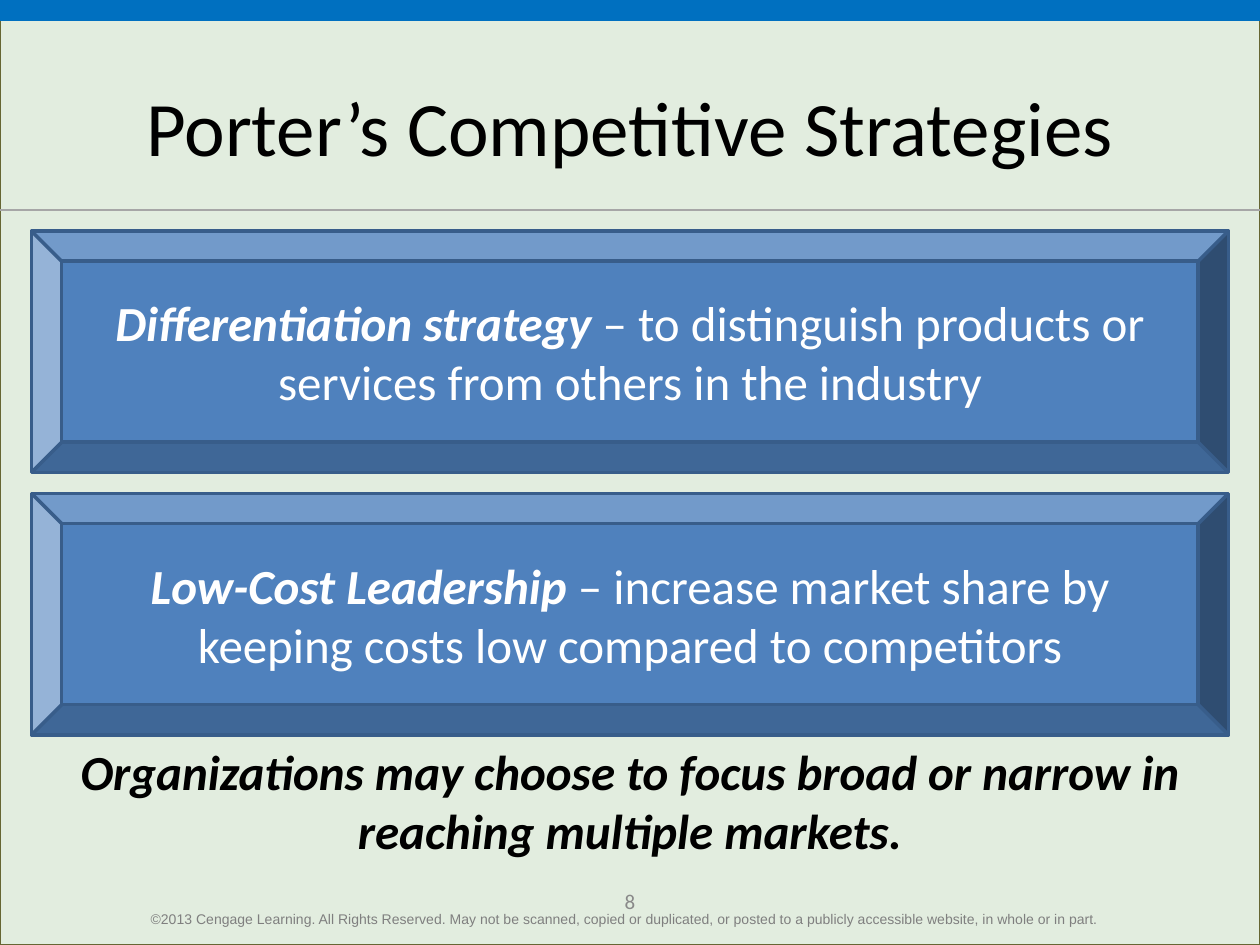
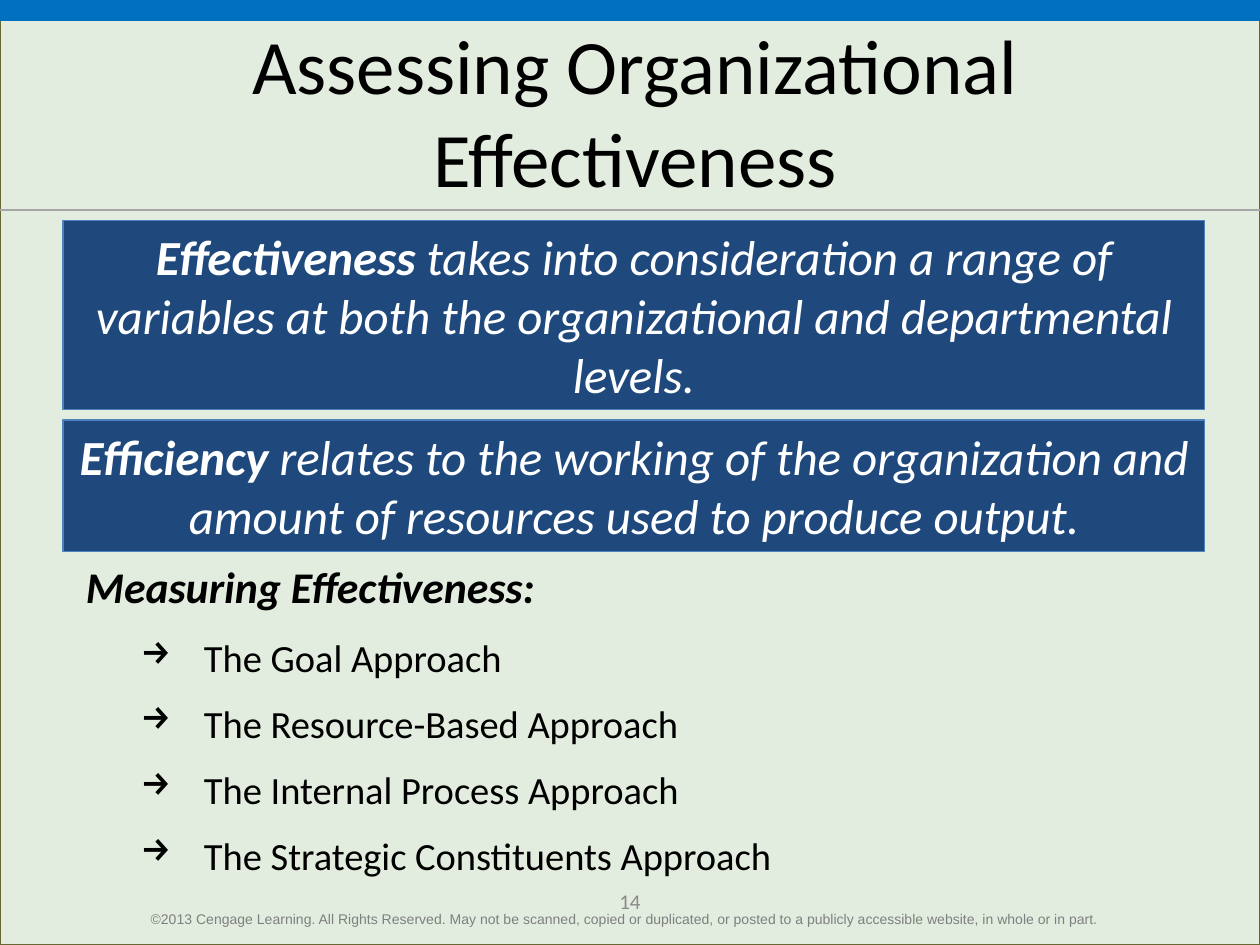
from lxml.etree import SubElement
from pptx import Presentation
from pptx.dml.color import RGBColor
from pptx.enum.shapes import MSO_CONNECTOR, MSO_SHAPE
from pptx.enum.text import MSO_ANCHOR, PP_ALIGN
from pptx.oxml.ns import qn
from pptx.util import Pt

HUES = {
    "page": "E2EDDF", "edge": "666633", "band": "0070C0", "rule": "A6A6A6",
    "ink": "000000", "white": "FFFFFF", "number": "898989", "legal": "7F7F7F",
    "bevel": "4F81BD", "rim": "385D8A", "panel": "1F497D",
}
PAGE = (0, 0, 720, 540)
LEGAL = ("©2013 Cengage Learning. All Rights Reserved. May not be scanned, copied or "
         "duplicated, or posted to a publicly accessible website, in whole or in part.")


def hue(name):
    return RGBColor.from_string(HUES[name])


def style(para, size, color, face="Calibri", bold=None, italic=None, align=PP_ALIGN.CENTER):
    para.alignment = align
    font = para.font
    font.name, font.size, font.bold, font.italic = face, Pt(size), bold, italic
    font.color.rgb = hue(color)


def block(slide, kind, box, fill, line=None, width=0.75):
    shape = slide.shapes.add_shape(kind, *map(Pt, box))
    shape.shadow.inherit = False
    shape.fill.solid()
    shape.fill.fore_color.rgb = hue(fill)
    if line:
        shape.line.color.rgb = hue(line)
        shape.line.width = Pt(width)
    else:
        shape.line.fill.background()
    return shape


def label(slide, box, text, size, color, anchor=MSO_ANCHOR.TOP, **look):
    frame = slide.shapes.add_textbox(*map(Pt, box)).text_frame
    frame.word_wrap = True
    frame.vertical_anchor = anchor
    frame.text = text
    style(frame.paragraphs[0], size, color, **look)
    return frame


def base(deck, number):
    slide = deck.slides.add_slide(deck.slide_layouts[6])
    left, top, wide, high = PAGE
    block(slide, MSO_SHAPE.RECTANGLE, PAGE, "page", "edge")
    block(slide, MSO_SHAPE.RECTANGLE, (left, top, wide, 12), "band")
    rule = slide.shapes.add_connector(
        MSO_CONNECTOR.STRAIGHT, Pt(left), Pt(top + 120), Pt(left + wide), Pt(top + 120))
    rule.line.color.rgb = hue("rule")
    rule.line.width = Pt(0.75)
    SubElement(rule._element.spPr, qn("a:effectLst"))
    label(slide, (left + 246, top + high - 39.5, 228, 29), number, 12, "number", MSO_ANCHOR.MIDDLE)
    label(slide, (left + 79, top + high - 23, 590, 22), LEGAL, 8, "legal",
          face="Arial", align=PP_ALIGN.LEFT)
    return slide


def title(slide, box, text, anchor):
    label(slide, box, text, 44, "ink", anchor)


def define(shape, term, rest, anchor, slant):
    frame = shape.text_frame
    frame.word_wrap = True
    frame.vertical_anchor = anchor
    para = frame.paragraphs[0]
    style(para, 28, "white")
    head, tail = para.add_run(), para.add_run()
    head.text, tail.text = term, rest
    head.font.bold = head.font.italic = True
    tail.font.italic = slant


def bevels(slide, box, items):
    left, top, wide, high = box
    gap = 12
    each = (high - gap * (len(items) - 1)) / len(items)
    for row, (term, rest) in enumerate(items):
        spot = (left, top + row * (each + gap), wide, each)
        shape = block(slide, MSO_SHAPE.BEVEL, spot, "bevel", "rim", 2)
        define(shape, term, rest, MSO_ANCHOR.MIDDLE, False)


def panels(slide, box, items):
    left, top, wide, high = box
    gap = 6
    for term, rest, share in items:
        tall = (high - gap * (len(items) - 1)) * share
        shape = block(slide, MSO_SHAPE.RECTANGLE, (left, top, wide, tall), "panel", "bevel")
        define(shape, term, rest, MSO_ANCHOR.TOP, True)
        top += tall + gap


def outline(slide, box, head, items):
    frame = label(slide, box, head, 25, "ink", bold=True, italic=True, align=PP_ALIGN.LEFT)
    first = frame.paragraphs[0]
    first.line_spacing = 0.8
    first.space_after = Pt(12.5)
    for item in items:
        para = frame.add_paragraph()
        para.text = item
        para.level = 1
        para.line_spacing = 0.8
        para.space_before, para.space_after = Pt(5.5), Pt(11)
        props = para._p.get_or_add_pPr()
        props.set("marL", str(Pt(67.5)))
        props.set("indent", str(-Pt(36)))
        tint = SubElement(props, qn("a:buClr"))
        SubElement(tint, qn("a:srgbClr"), val=HUES["ink"])
        SubElement(props, qn("a:buChar"), char="→")
        style(para, 22, "ink", align=PP_ALIGN.LEFT)


def porter(deck):
    slide = base(deck, "8")
    title(slide, (36, 12, 648, 90), "Porter’s Competitive Strategies", MSO_ANCHOR.BOTTOM)
    bevels(slide, (18, 132, 684, 288), [
        ("Differentiation strategy ",
         "– to distinguish products or services from others in the industry"),
        ("Low-Cost Leadership ",
         "– increase market share by keeping costs low compared to competitors"),
    ])
    label(slide, (18, 420, 684, 75),
          "Organizations may choose to focus broad or narrow in reaching multiple markets.",
          28, "ink", bold=True, italic=True)


def assess(deck):
    slide = base(deck, "14")
    title(slide, (39, 18, 648, 90), "Assessing Organizational Effectiveness", MSO_ANCHOR.MIDDLE)
    outline(slide, (42, 322, 648, 194), "Measuring Effectiveness:", [
        f"The {name} Approach" for name in
        ("Goal", "Resource-Based", "Internal Process", "Strategic Constituents")])
    panels(slide, (36, 126, 652.5, 189), [
        ("Effectiveness", " takes into consideration a range of variables at both "
         "the organizational and departmental levels.", 0.59),
        ("Efficiency", " relates to the working of the organization and amount of "
         "resources used to produce output.", 0.41),
    ])


def main():
    """Build the two strategy slides and save them."""
    deck = Presentation()
    deck.slide_width, deck.slide_height = map(Pt, PAGE[2:])
    porter(deck)
    assess(deck)
    deck.save("out.pptx")


if __name__ == "__main__":
    main()
